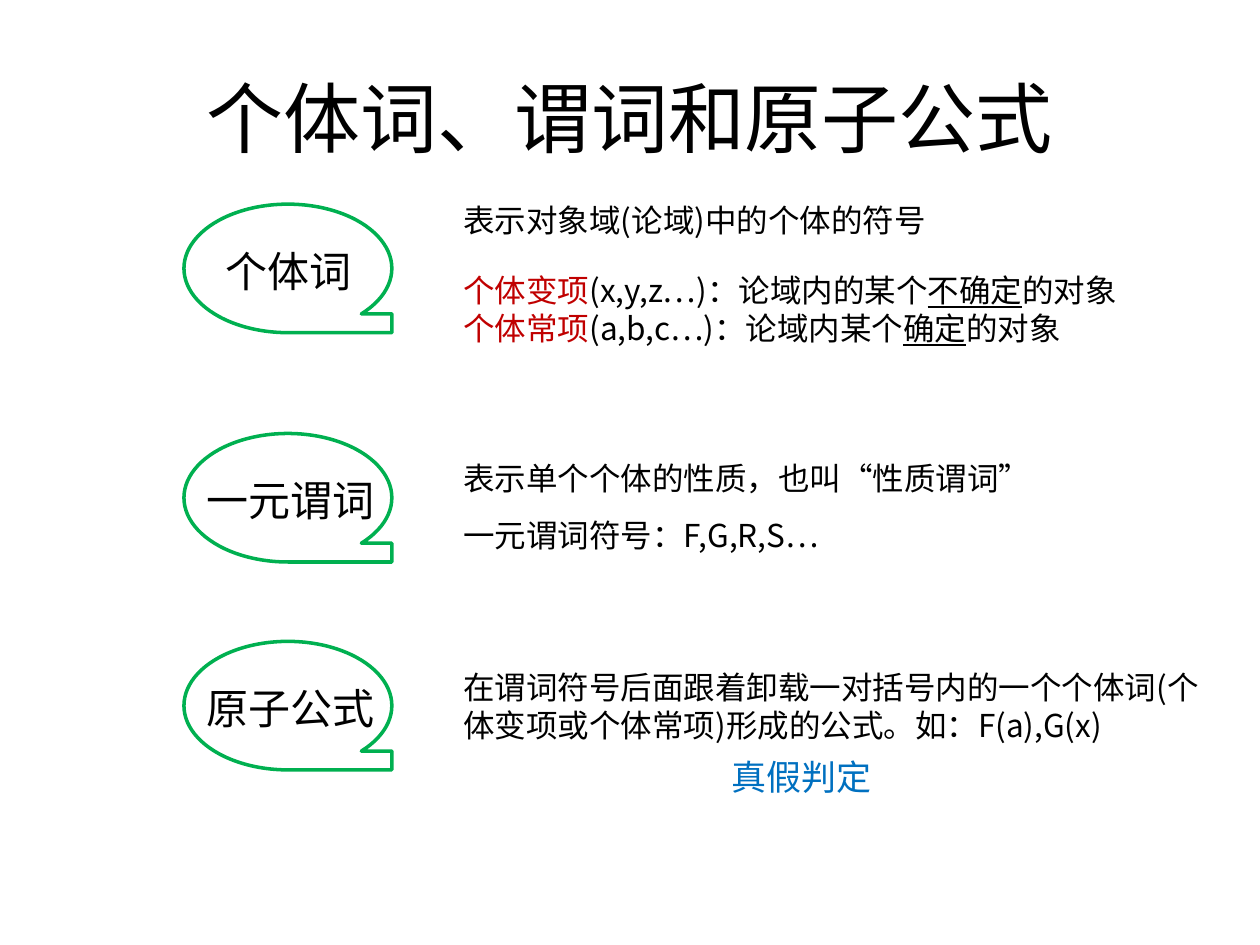
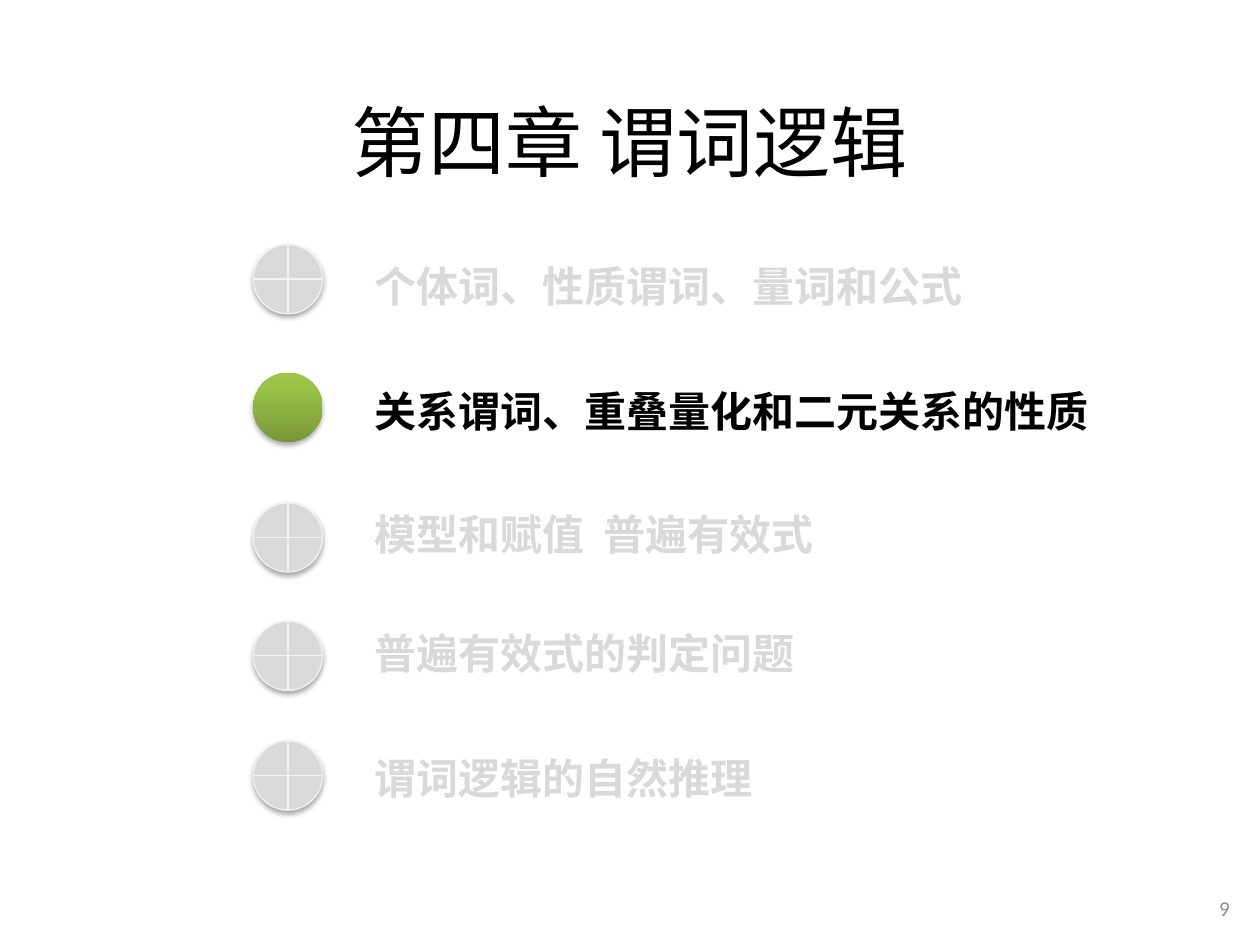
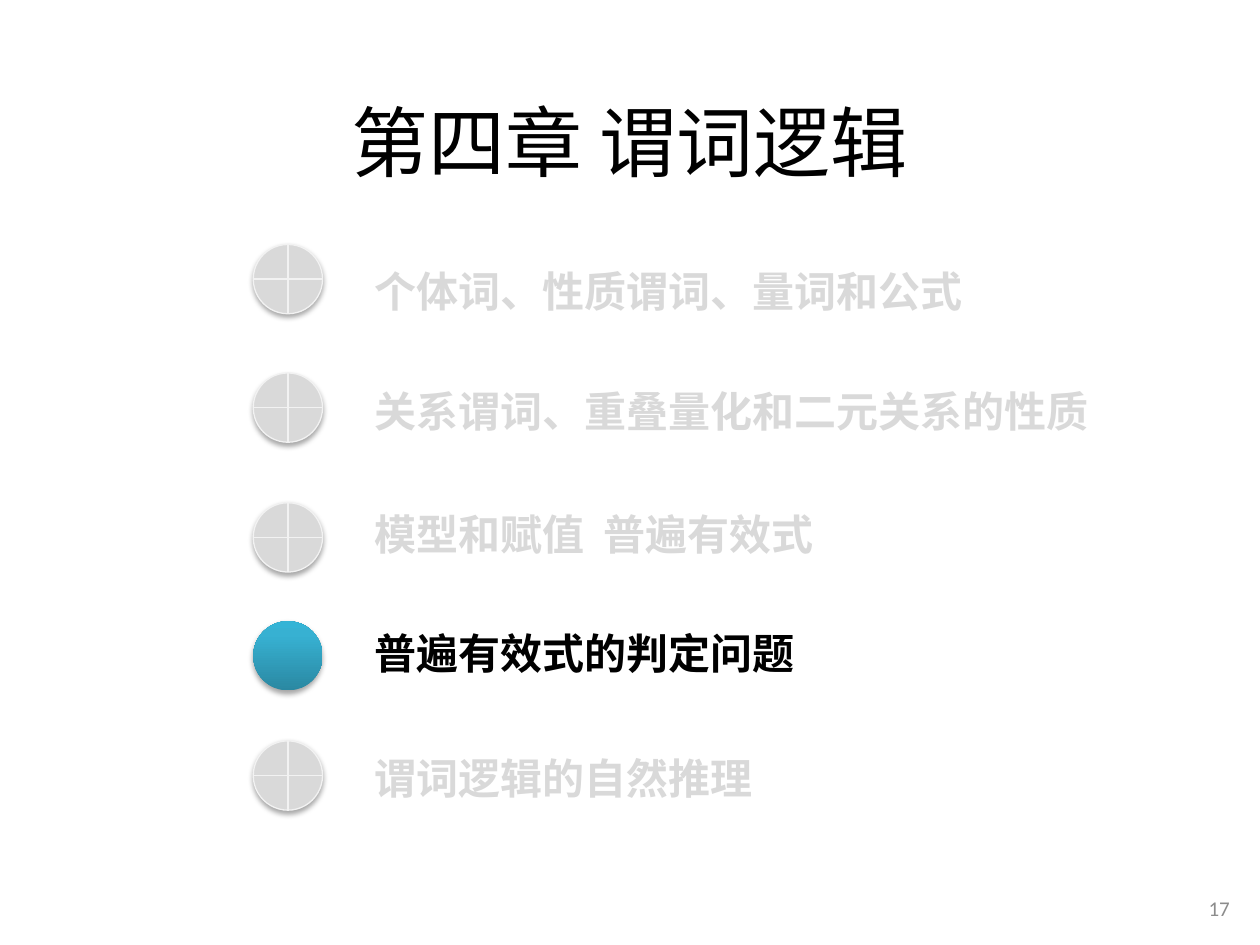
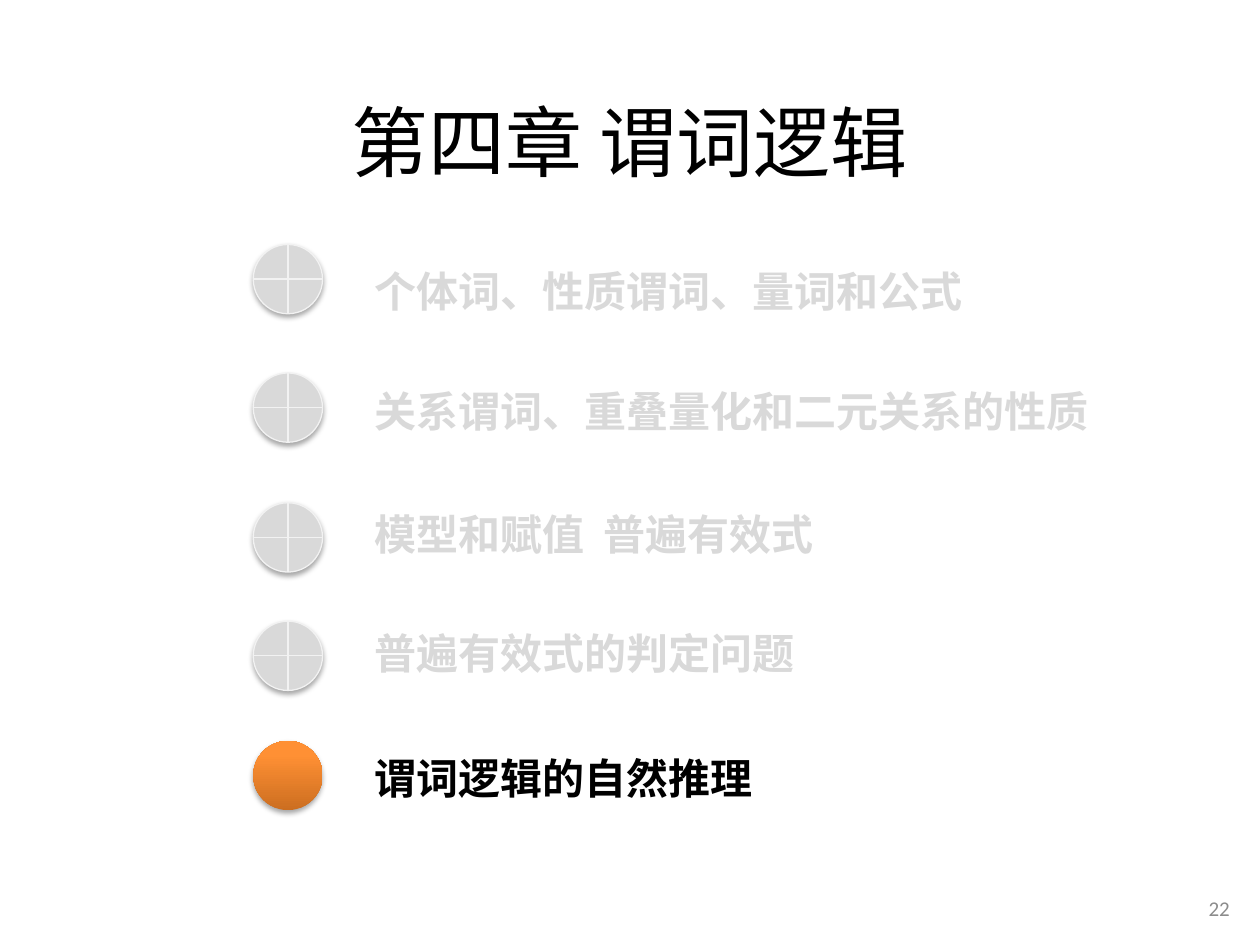
"""Build four lecture slides on predicate logic."""
from lxml.etree import SubElement
from pptx import Presentation
from pptx.dml.color import RGBColor as RGB
from pptx.enum.shapes import MSO_SHAPE as SHAPE
from pptx.enum.text import MSO_ANCHOR as ANCHOR, MSO_AUTO_SIZE as FIT, PP_ALIGN as ALIGN
from pptx.oxml.ns import qn
from pptx.util import Inches, Pt

SC, JP = "Noto Sans CJK SC", "Noto Sans CJK JP"
THEME = {
    "ink": "000000", "paper": "FFFFFF", "muted": "D9D9D9", "rim": "F2F2F2",
    "term": "C00000", "verdict": "0070C0", "callout": "00B050", "page": "8C8C8C",
    "title": {"size": Pt(44), "name": JP},
    "term_label": {"size": Pt(24), "name": SC},
    "body": {"size": Pt(18), "name": SC},
    "remark": {"size": Pt(20), "name": JP},
    "topic": {"size": Pt(24), "name": "Arial", "bold": True},
    "first_topic": {"size": Pt(24), "name": "Calibri", "bold": True},
    "page_number": {"size": Pt(12), "name": "Calibri"},
}
GROWING = {"word_wrap": True, "auto_size": FIT.SHAPE_TO_FIT_TEXT}
FIXED = {"word_wrap": True, "auto_size": FIT.NONE, "vertical_anchor": ANCHOR.MIDDLE}
CENTRED = {"alignment": ALIGN.CENTER}
CHAPTER_LINE = {"alignment": ALIGN.CENTER, "line_spacing": 1.5}
RIGHT = {"alignment": ALIGN.RIGHT}


def write(slide, place, lines, style, color="ink", frame_format=GROWING, line_format={}):
    """Add text whose lines are strings or lists of (text, color, underline)."""
    frame = slide.shapes.add_textbox(*map(Inches, place)).text_frame
    for key, value in frame_format.items():
        setattr(frame, key, value)
    for index, line in enumerate(lines):
        paragraph = frame.add_paragraph() if index else frame.paragraphs[0]
        for key, value in line_format.items():
            setattr(paragraph, key, value)
        for words, shade, underline in [(line, color, None)] if isinstance(line, str) else line:
            run = paragraph.add_run()
            run.text = words
            for key, value in {**THEME[style], "underline": underline}.items():
                setattr(run.font, key, value)
            run.font.color.rgb = RGB.from_string(THEME[shade])
            east_asian = THEME[style]["name"] if THEME[style]["name"] in (SC, JP) else SC
            SubElement(run.font._element, qn("a:ea"), typeface=east_asian)


def draw(slide, kind, place, fill, line=None, width=0.75):
    """Add a shadowless shape with an optional outline."""
    shape = slide.shapes.add_shape(kind, *map(Inches, place))
    shape.shadow.inherit = False
    shape.fill.solid()
    shape.fill.fore_color.rgb = RGB.from_string(THEME[fill])
    if line:
        shape.line.color.rgb = RGB.from_string(THEME[line])
        shape.line.width = Pt(width)
    else:
        shape.line.fill.background()
    return shape


deck = Presentation()
deck.slide_width, deck.slide_height = Inches(10), Inches(7.5)
blank = deck.slide_layouts[6]

terms = deck.slides.add_slide(blank)
write(terms, (0.5, 0.3, 9, 1.25), ["个体词、谓词和原子公式"], "title",
      frame_format=FIXED, line_format=CENTRED)
for term, top, label_left in [("个体词", 1.62, 1.69), ("一元谓词", 3.44, 1.54), ("原子公式", 5.09, 1.54)]:
    draw(terms, SHAPE.FLOWCHART_SEQUENTIAL_ACCESS_STORAGE, (1.46, top, 1.65, 1.02),
         "paper", "callout", 2)
    write(terms, (label_left, top + 0.28, 1.65, 0.5), [term], "term_label")

variable_and_constant = [
    [("个体变项", "term", None), ("(x,y,z…)：论域内的某个", "ink", None),
     ("不确定", "ink", True), ("的对象", "ink", None)],
    [("个体常项", "term", None), ("(a,b,c…)：论域内某个", "ink", None),
     ("确定", "ink", True), ("的对象", "ink", None)],
]
explanations = [
    (1.55, 4.57, 0.4, ["表示对象域(论域)中的个体的符号"]),
    (2.1, 5.91, 0.71, variable_and_constant),
    (3.59, 6.14, 0.4, ["表示单个个体的性质，也叫“性质谓词”"]),
    (4.05, 4.57, 0.4, ["一元谓词符号：F,G,R,S…"]),
    (5.25, 6.14, 0.71,
     ["在谓词符号后面跟着卸载一对括号内的一个个体词(个体变项或个体常项)形成的公式。如：F(a),G(x)"]),
]
for top, width, height, lines in explanations:
    write(terms, (3.58, top, width, height), lines, "body")
write(terms, (5.71, 5.95, 1.97, 0.44), ["真假判定"], "remark", "verdict")

topics = [
    ("个体词、性质谓词、量词和公式", 1.94, 2.06, 5.59),
    ("关系谓词、重叠量化和二元关系的性质", 2.96, 3.01, 5.91),
    ("模型和赋值  普遍有效式", 3.99, 3.99, 5.59),
    ("普遍有效式的判定问题", 4.93, 4.93, 5.59),
    ("谓词逻辑的自然推理", 5.88, 5.92, 5.59),
]
agendas = [
    ("9", 1, ("779737", "9BC348", "9DC746"), -0.04),
    ("17", 3, ("2A88A2", "37B1D2", "34B4D6"), 0),
    ("22", 4, ("CC6E20", "FF9034", "FF9136"), 0),
]
for page, current, glow, first_shift in agendas:
    agenda = deck.slides.add_slide(blank)
    write(agenda, (9.46, 7.01, 0.4, 0.4), [page], "page_number", "page", FIXED, RIGHT)
    write(agenda, (0.5, 0.31, 9, 1.24), ["第四章 谓词逻辑"], "title",
          frame_format=FIXED, line_format=CHAPTER_LINE)
    for index, (topic, marker_top, label_top, width) in enumerate(topics):
        active, first = index == current, index == 0
        write(agenda, (2.87, label_top + first * first_shift, width, 0.5), [topic],
              "first_topic" if first else "topic", "ink" if active else "muted")
        marker = draw(agenda, SHAPE.FLOWCHART_OR, (2.01, marker_top, 0.55, 0.55),
                      "muted", None if active else "rim")
        properties = marker._element.spPr
        if active:
            marker.fill.gradient()
            marker.fill.gradient_angle = 90
            stops = properties.find(".//" + qn("a:gsLst"))
            stops.clear()
            for position, shade in zip((0, 80, 100), glow):
                stop = SubElement(stops, qn("a:gs"), pos=str(position * 1000))
                SubElement(stop, qn("a:srgbClr"), val=shade)
        shadow = SubElement(properties.find(qn("a:effectLst")), qn("a:outerShdw"),
                            blurRad=str(Pt(3.1)), dist=str(Pt(1.8)), dir="5400000", rotWithShape="0")
        shadow_color = SubElement(shadow, qn("a:srgbClr"), val=THEME["ink"])
        SubElement(shadow_color, qn("a:alpha"), val="35000")

deck.save("out.pptx")
